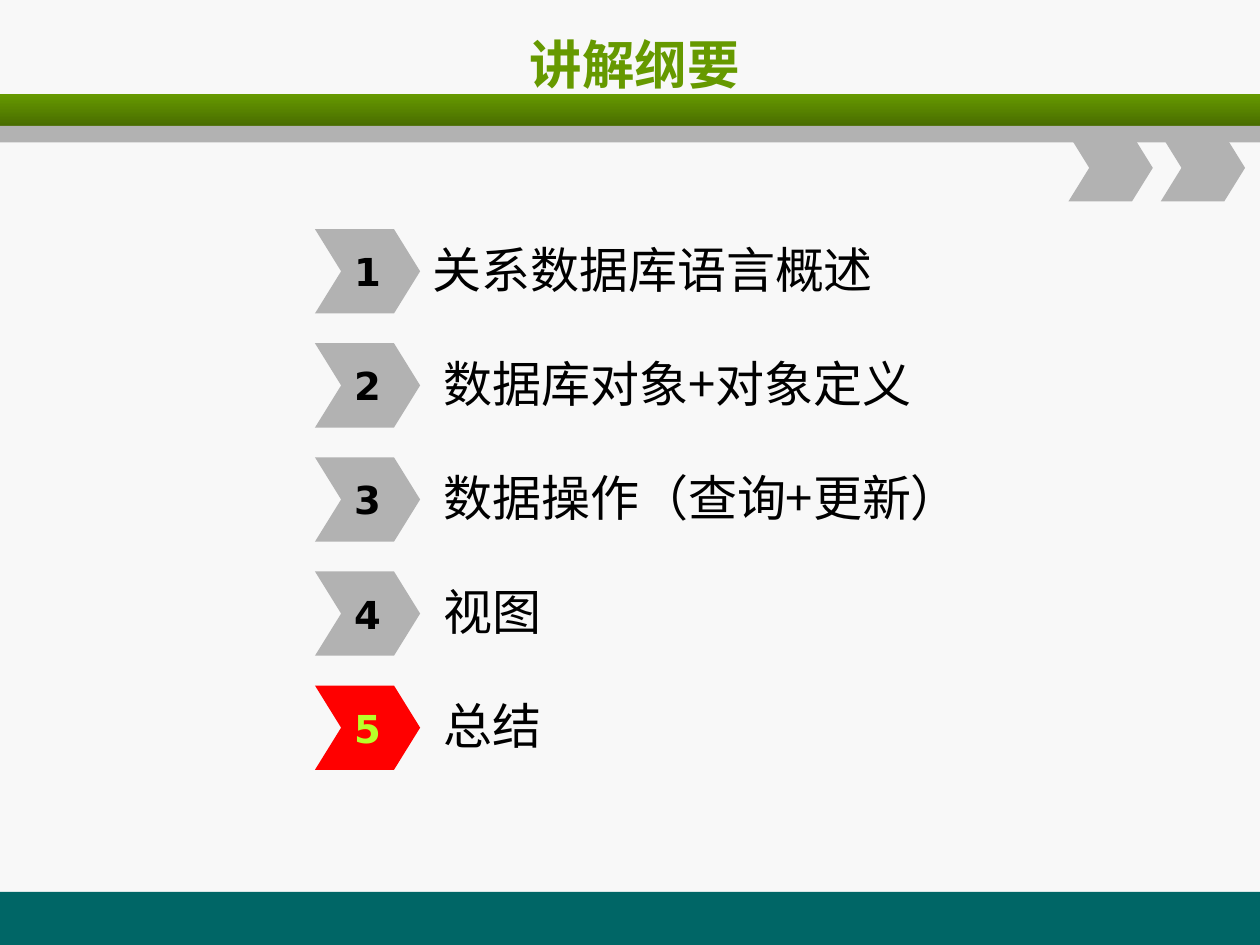
from pptx import Presentation
from pptx.dml.color import RGBColor
from pptx.enum.shapes import MSO_SHAPE
from pptx.enum.text import MSO_ANCHOR, PP_ALIGN
from pptx.oxml.ns import qn
from pptx.util import Cm, Pt
from lxml import etree

RECT, CHEVRON = MSO_SHAPE.RECTANGLE, MSO_SHAPE.CHEVRON
MIDDLE = MSO_ANCHOR.MIDDLE
LEFT, CENTER = PP_ALIGN.LEFT, PP_ALIGN.CENTER
BACKGROUND = RGBColor(0xF8, 0xF8, 0xF8)
GREEN = RGBColor(0x66, 0x99, 0x00)
DARK_GREEN = RGBColor(0x49, 0x6D, 0x00)
TEAL = RGBColor(0x00, 0x66, 0x66)
GRAY = RGBColor(0xB2, 0xB2, 0xB2)
RED = RGBColor(0xFF, 0x00, 0x00)
LIME = RGBColor(0xB8, 0xFF, 0x29)
BLACK = RGBColor(0x00, 0x00, 0x00)
CJK_FONT, NUMBER_FONT = "Noto Sans CJK SC", "DejaVu Sans"
TOPICS = ["关系数据库语言概述", "数据库对象+对象定义", "数据操作（查询+更新）", "视图", "总结"]
CURRENT = 5


def add_text(sp, text, size, font, color, bold=False, align=LEFT, wrap=False):
    tf = sp.text_frame
    tf.word_wrap = wrap
    tf.vertical_anchor = MIDDLE
    p = tf.paragraphs[0]
    p.alignment = align
    r = p.add_run()
    r.text = text
    r.font.size = Pt(size)
    r.font.bold = bold
    r.font.name = font
    r.font.color.rgb = color
    ea = etree.SubElement(r.font._element, qn("a:ea"))
    ea.set("typeface", font)


def add_block(slide, kind, x, y, w, h, color):
    sp = slide.shapes.add_shape(kind, Cm(x), Cm(y), Cm(w), Cm(h))
    sp.shadow.inherit = False
    sp.fill.solid()
    sp.fill.fore_color.rgb = color
    sp.line.fill.background()
    if kind == CHEVRON:
        sp.adjustments[0] = 0.31
    return sp


def add_header(slide, x, y, w):
    bar = add_block(slide, RECT, x, y, w, 0.64, GREEN)
    bar.fill.gradient()
    bar.fill.gradient_angle = 270
    for stop, color in zip(bar.fill.gradient_stops, (GREEN, DARK_GREEN)):
        stop.color.rgb = color
    add_block(slide, RECT, x, y + 0.64, w, 0.33, GRAY)
    for i in range(2):
        add_block(slide, CHEVRON, x + w - 3.86 + 1.86 * i, y + 0.81, 1.7, 1.35, GRAY)


def add_title(slide, x, y, w, h):
    title = slide.shapes.title
    title.left, title.top, title.width, title.height = Cm(x), Cm(y), Cm(w), Cm(h)
    add_text(title, "讲解纲要", 30, CJK_FONT, GREEN, True, CENTER, True)


def add_topic(slide, x, y, number, topic):
    current = number == CURRENT
    marker = add_block(slide, CHEVRON, x, y, 2.12, 1.7, RED if current else GRAY)
    add_text(marker, str(number), 22, NUMBER_FONT, LIME if current else BLACK, True, CENTER)
    label = slide.shapes.add_textbox(Cm(x + 2.12), Cm(y + 0.06), Cm(15.04), Cm(1.48))
    add_text(label, topic, 28, CJK_FONT, BLACK)
    label.text_frame.margin_left = Cm(0.25 if number == 1 else 0.47)


def add_agenda(slide, x, y, pitch):
    for i, topic in enumerate(TOPICS):
        add_topic(slide, x, y + pitch * i, i + 1, topic)


prs = Presentation()
prs.slide_width, prs.slide_height = Cm(25.4), Cm(19.05)
slide = prs.slides.add_slide(prs.slide_layouts[5])
slide.background.fill.solid()
slide.background.fill.fore_color.rgb = BACKGROUND
add_block(slide, RECT, 0, 17.98, 25.4, 1.07, TEAL)
add_header(slide, 0, 1.9, 25.4)
add_title(slide, 1.37, 0.43, 22.86, 1.7)
add_agenda(slide, 6.35, 4.62, 2.3)
prs.save("out.pptx")
